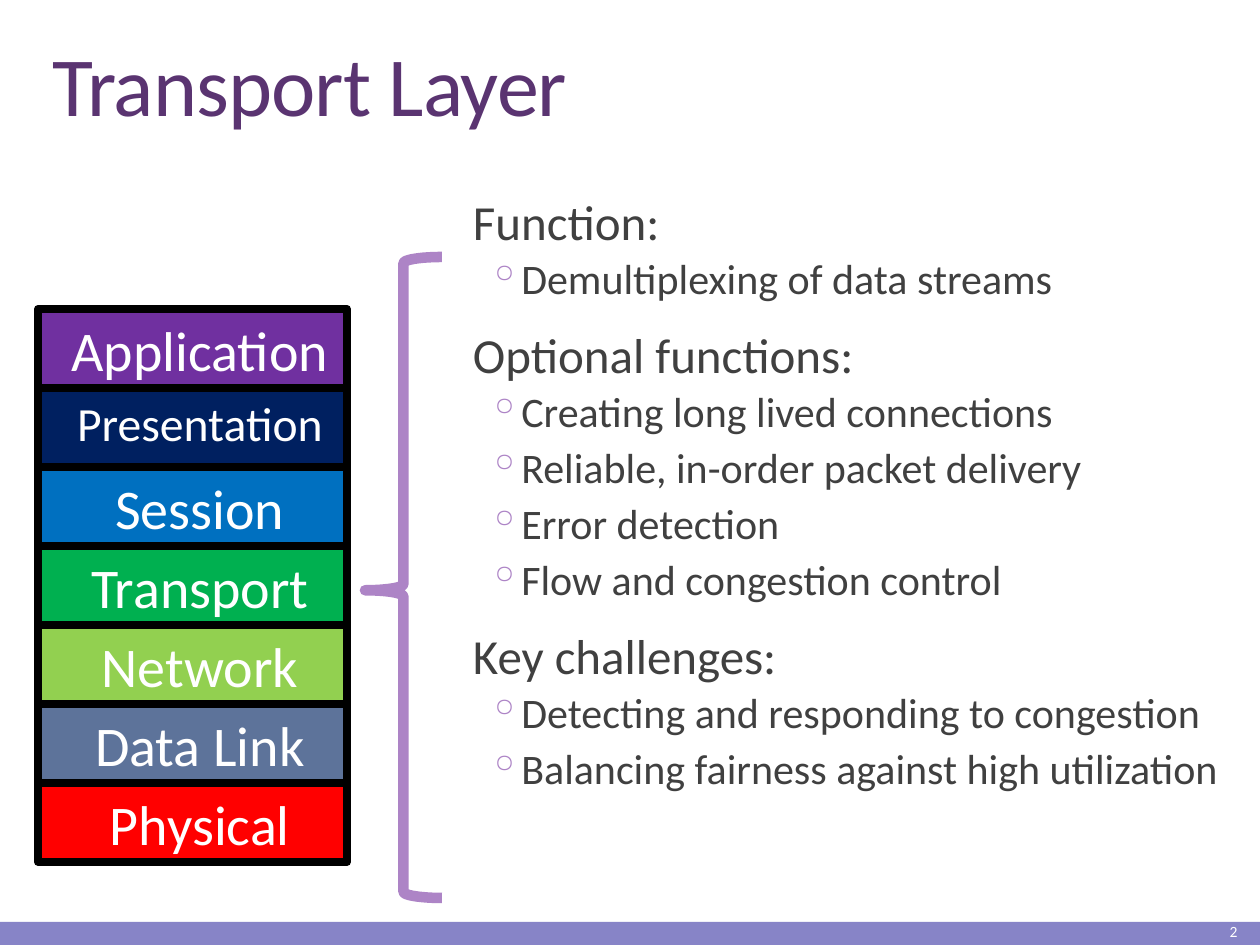
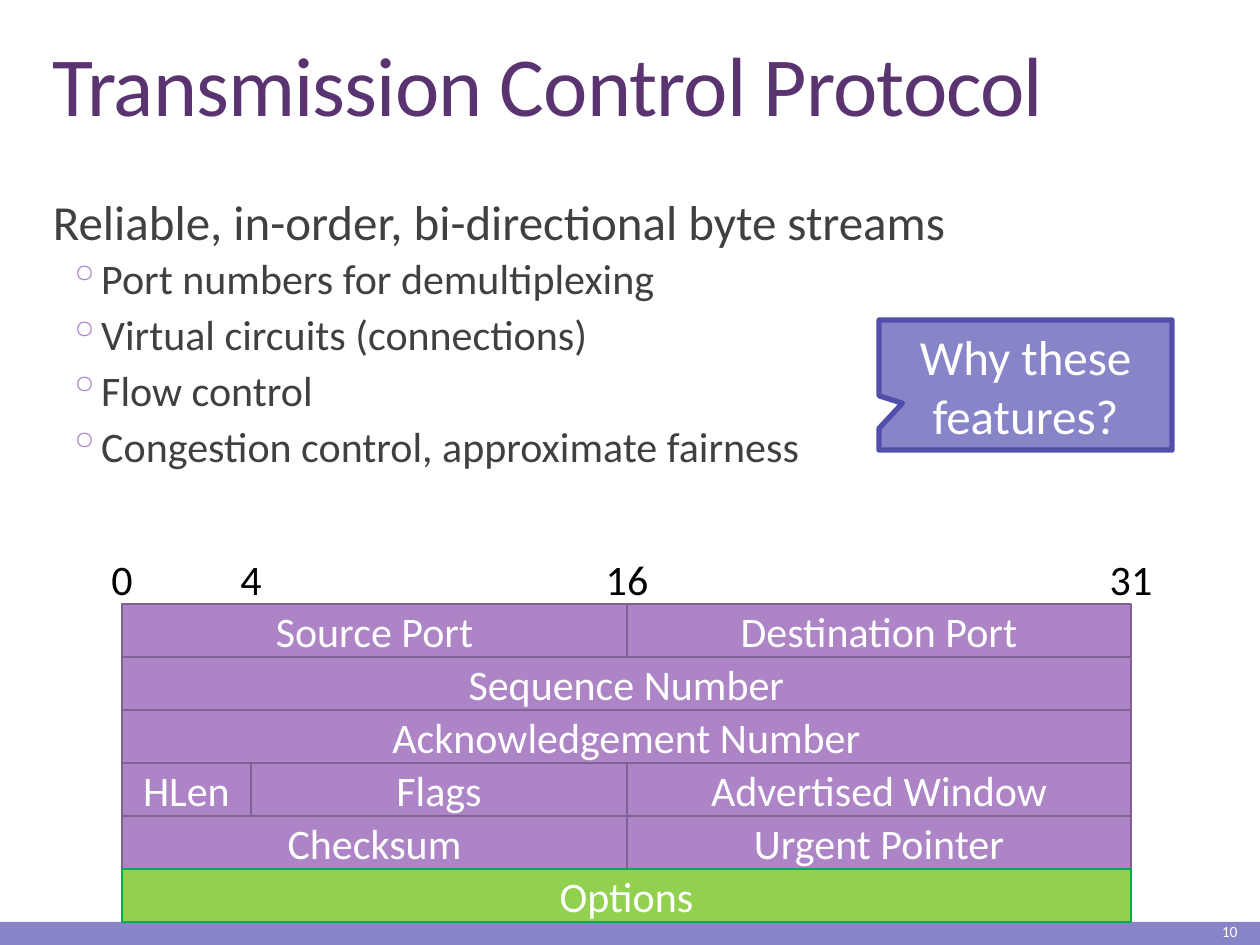
from pptx import Presentation
from pptx.dml.color import RGBColor
from pptx.enum.shapes import MSO_SHAPE
from pptx.enum.text import MSO_ANCHOR, PP_ALIGN
from pptx.oxml.ns import qn
from pptx.util import Emu, Pt
from lxml import etree

RECT, BRACE = MSO_SHAPE.RECTANGLE, MSO_SHAPE.LEFT_BRACE
CALLOUT = MSO_SHAPE.RECTANGULAR_CALLOUT
TOP, MIDDLE, BOTTOM = MSO_ANCHOR.TOP, MSO_ANCHOR.MIDDLE, MSO_ANCHOR.BOTTOM
LEFT, CENTER, RIGHT = PP_ALIGN.LEFT, PP_ALIGN.CENTER, PP_ALIGN.RIGHT

PX_PER_INCH = 126
SLIDE_W, SLIDE_H = 1260, 945
FONT = "Calibri"
COLORS = {
    "band": "8784C7", "title": "5A3471", "body": "404040",
    "accent": "AD84C6", "field_line": "806292", "callout_line": "524EAB",
    "white": "FFFFFF", "black": "000000",
    "purple": "7030A0", "navy": "002060", "blue": "0070C0", "green": "00B050",
    "lime": "92D050", "slate": "5D739A", "red": "FF0000",
}

LAYERS = [
    ("Application", "purple", 32), ("Presentation", "navy", 27.2),
    ("Session", "blue", 32), ("Transport", "green", 32),
    ("Network", "lime", 32), ("Data Link", "slate", 32), ("Physical", "red", 32),
]
TRANSPORT_OUTLINE = [
    ("Function:", ["Demultiplexing of data streams"]),
    ("Optional functions:", [
        "Creating long lived connections", "Reliable, in-order packet delivery",
        "Error detection", "Flow and congestion control"]),
    ("Key challenges:", [
        "Detecting and responding to congestion",
        "Balancing fairness against high utilization"]),
]
TCP_OUTLINE = [
    ("Reliable, in-order, bi-directional byte streams", [
        "Port numbers for demultiplexing", "Virtual circuits (connections)",
        "Flow control", "Congestion control, approximate fairness"]),
]
# Offset in px of each labelled bit from the left of the header
BIT_OFFSETS = {0: 0, 4: 129, 16: 505, 31: 1009}
HEADER_ROWS = [
    [("Source Port", 0, 16), ("Destination Port", 16, 31)],
    [("Sequence Number", 0, 31)],
    [("Acknowledgement Number", 0, 31)],
    [("HLen", 0, 4), ("Flags", 4, 16), ("Advertised Window", 16, 31)],
    [("Checksum", 0, 16), ("Urgent Pointer", 16, 31)],
    [("Options", 0, 31)],
]


def px(length):
    return Emu(round(length * 914400 / PX_PER_INCH))


def rgb(name):
    return RGBColor.from_string(COLORS[name])


def style(paragraph, size, color, align=LEFT):
    paragraph.alignment = align
    paragraph.font.name = FONT
    paragraph.font.size = Pt(size)
    paragraph.font.color.rgb = rgb(color)


def indent(paragraph, margin, hanging=0):
    properties = paragraph._p.get_or_add_pPr()
    properties.set("marL", str(px(margin)))
    properties.set("indent", str(px(-hanging)))
    return properties


def write(shape, text, size, color, align=CENTER, anchor=MIDDLE):
    frame = shape.text_frame
    frame.word_wrap = True
    frame.vertical_anchor = anchor
    paragraph = frame.paragraphs[0]
    paragraph.text = text
    style(paragraph, size, color, align)
    return paragraph


def add_label(slide, box, text, size, color, align=CENTER, anchor=MIDDLE):
    return write(slide.shapes.add_textbox(*map(px, box)),
                 text, size, color, align, anchor)


def add_shape(slide, kind, box, fill=None, line=None, width=1.25):
    shape = slide.shapes.add_shape(kind, *map(px, box))
    shape.shadow.inherit = False
    if fill:
        shape.fill.solid()
        shape.fill.fore_color.rgb = rgb(fill)
    else:
        shape.fill.background()
    if line:
        shape.line.color.rgb = rgb(line)
        shape.line.width = Pt(width)
    else:
        shape.line.fill.background()
    return shape


def add_base_slide(deck, title, number):
    """Add a blank slide with the title, the footer band and its number."""
    slide = deck.slides.add_slide(deck.slide_layouts[6])
    add_shape(slide, RECT, (0, 922, SLIDE_W, SLIDE_H - 922), "band")
    heading = add_label(slide, (40, 39, 1195, 101), title, 48, "title", LEFT, BOTTOM)
    heading.line_spacing = 0.85
    heading._p.pPr.find(qn("a:defRPr")).set("spc", "-50")
    add_label(slide, (1114, 917, 136, 28), str(number), 8.9, "white", RIGHT)
    return slide


def add_bullet(paragraph):
    properties = indent(paragraph, 53, 25)
    color = etree.SubElement(properties, qn("a:buClr"))
    etree.SubElement(color, qn("a:srgbClr"), val=COLORS["accent"])
    etree.SubElement(properties, qn("a:buChar"), char="◦")


def add_outline(slide, box, sections):
    frame = slide.shapes.add_textbox(*map(px, box)).text_frame
    frame.word_wrap = True
    frame.vertical_anchor = TOP
    frame.margin_left = frame.margin_right = 0
    for index, (heading, points) in enumerate(sections):
        head = frame.add_paragraph() if index else frame.paragraphs[0]
        head.text = heading
        indent(head, 13)
        head.space_before = Pt(12 if index else 0)
        head.space_after = Pt(2)
        head.line_spacing = 0.9
        style(head, 28, "body")
        for point in points:
            item = frame.add_paragraph()
            item.text = point
            item.level = 1
            add_bullet(item)
            item.space_before, item.space_after = Pt(2), Pt(4)
            item.line_spacing = 0.9
            style(item, 24, "body")


def add_layer_stack(slide, box):
    left, top, width, height = box
    row = height // len(LAYERS)
    for index, (name, fill, size) in enumerate(LAYERS):
        layer = add_shape(slide, RECT, (left, top + index * row, width, row),
                          fill, "black", 4.5)
        indent(write(layer, name, size, "white", anchor=TOP), 15)


def add_packet_header(slide, box):
    """Draw the bit ruler and the header fields below it."""
    left, top, height = box
    row = height // len(HEADER_ROWS)
    for bit, offset in BIT_OFFSETS.items():
        add_label(slide, (left + offset - 41, top - 67, 82, 83), str(bit), 24, "black")
    for index, fields in enumerate(HEADER_ROWS):
        for name, first, last in fields:
            start, end = BIT_OFFSETS[first], BIT_OFFSETS[last]
            fill, line = (("lime", "green") if name == "Options"
                          else ("accent", "field_line"))
            field = add_shape(slide, RECT,
                              (left + start, top + index * row, end - start, row),
                              fill, line)
            write(field, name, 24, "white")


def add_question(slide, box, question):
    callout = add_shape(slide, CALLOUT, box, "band", "callout_line", 3)
    callout.adjustments[0] = -0.42
    callout.adjustments[1] = 0.14
    write(callout, question, 28, "white")


def build_transport_slide(deck):
    slide = add_base_slide(deck, "Transport Layer", 2)
    add_outline(slide, (460, 192, 775, 660), TRANSPORT_OUTLINE)
    add_layer_stack(slide, (38, 309, 309, 554))
    brace = add_shape(slide, BRACE, (365, 257, 77, 641), line="accent", width=6)
    brace.adjustments[0] = 0.08
    brace.adjustments[1] = 0.52


def build_tcp_slide(deck):
    slide = add_base_slide(deck, "Transmission Control Protocol", 10)
    add_outline(slide, (40, 192, 1195, 660), TCP_OUTLINE)
    add_packet_header(slide, (122, 604, 318))
    add_question(slide, (879, 320, 293, 130), "Why these features?")


def main():
    deck = Presentation()
    deck.slide_width, deck.slide_height = px(SLIDE_W), px(SLIDE_H)
    build_transport_slide(deck)
    build_tcp_slide(deck)
    deck.save("out.pptx")


if __name__ == "__main__":
    main()
